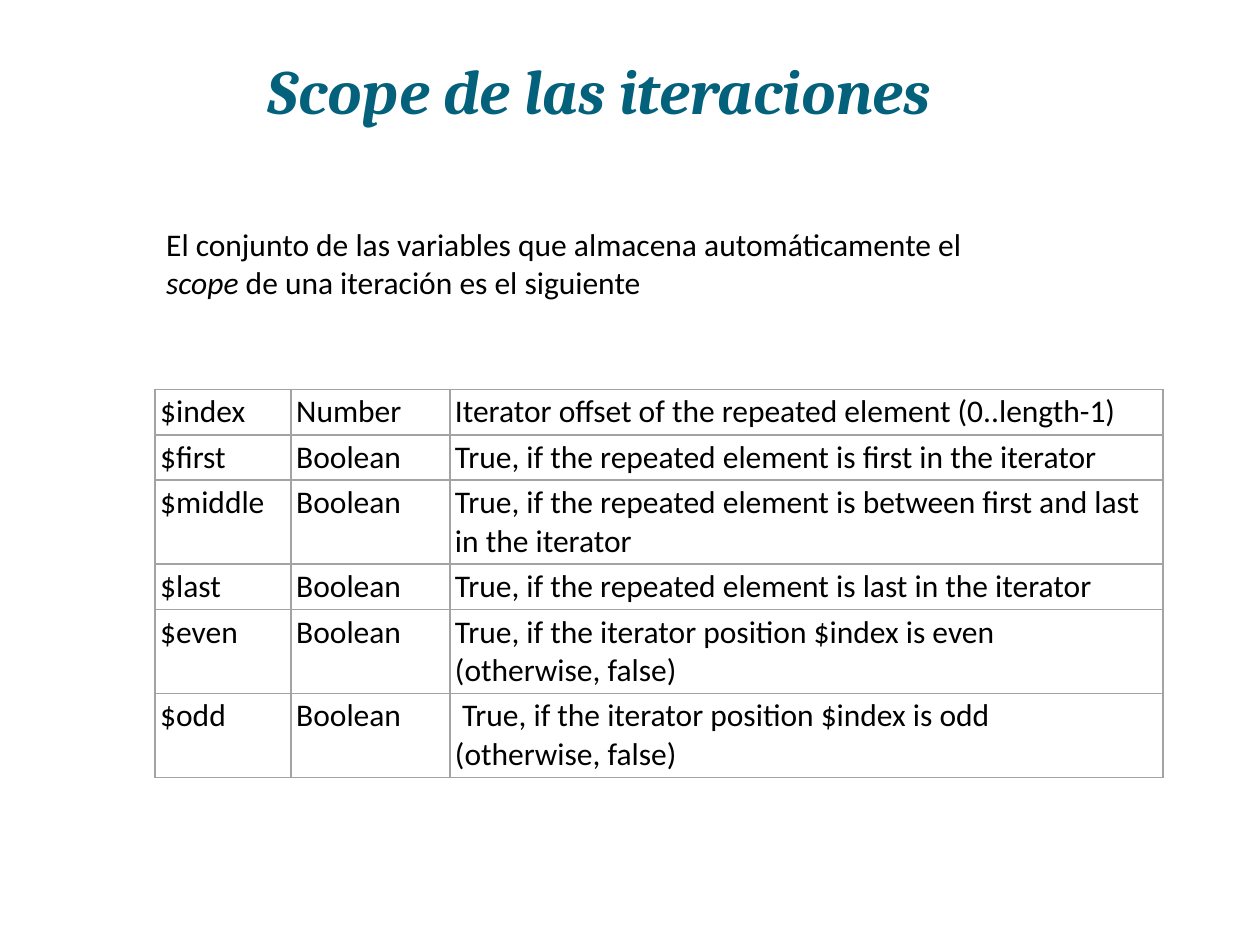
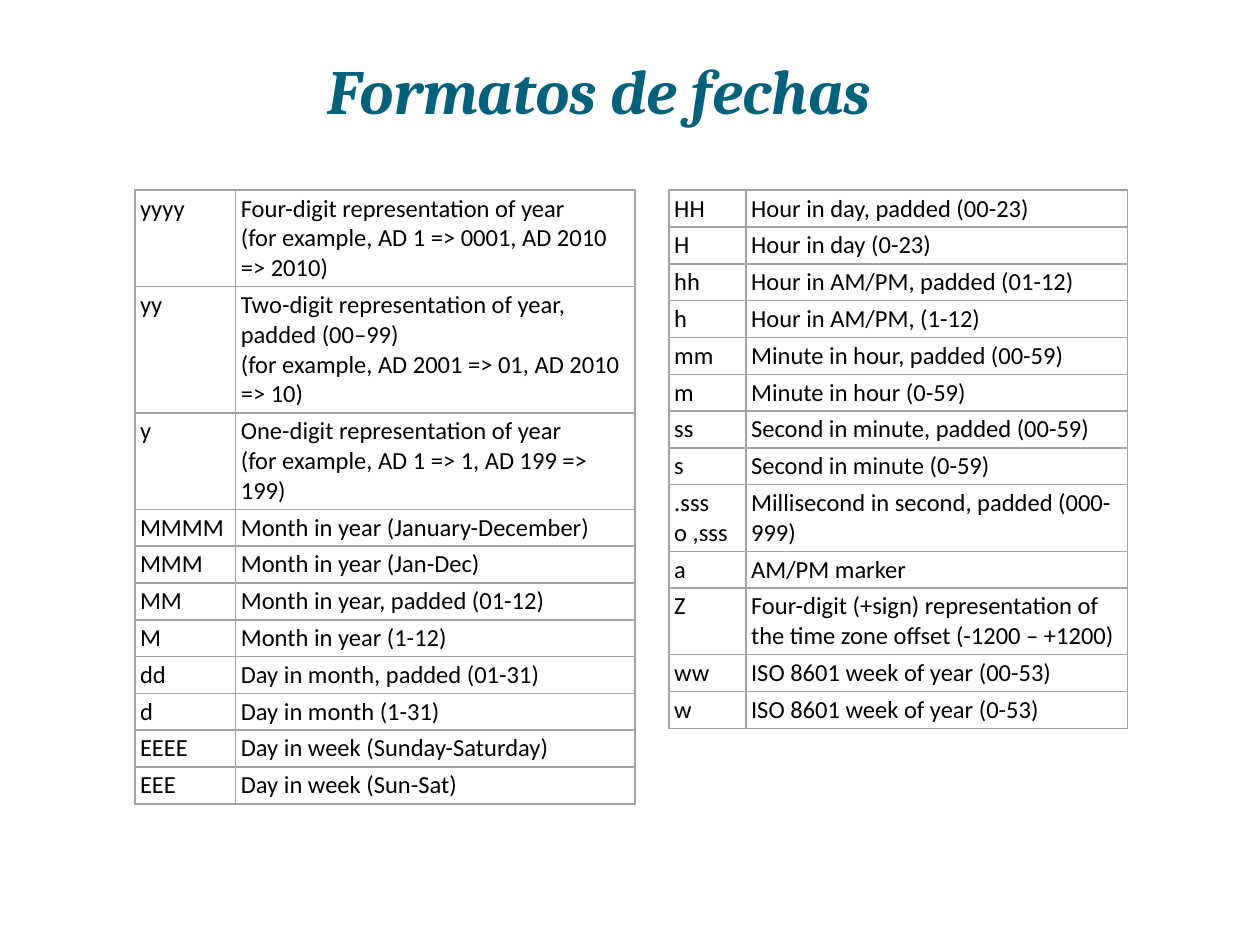
from lxml import etree
from pptx import Presentation
from pptx import util as u
from pptx.dml.color import RGBColor
from pptx.enum import text
from pptx.oxml import ns

COLORS = {"title": "04617B", "text": "000000", "border": "A3A3A3"}
BODY_FONT, TITLE_FONT = "Calibri", "Cambria"
LINE_FACTOR = 1.22  # line height relative to the font size


class Deck:
    """Shared style and the slide being filled."""

    def __init__(self):
        self.prs = Presentation()
        self.prs.slide_width, self.prs.slide_height = u.Inches(10), u.Inches(7.5)
        self.slide = None

    def style(self, paragraph, size, color="text", name=BODY_FONT):
        font = paragraph.font
        font.name, font.size = name, u.Pt(size)
        font.color.rgb = RGBColor.from_string(COLORS[color])
        return font

    def add_slide(self, heading):
        self.slide = self.prs.slides.add_slide(self.prs.slide_layouts[5])
        title = self.slide.shapes.title
        title.left, title.top = u.Inches(0.69), u.Inches(0.4)
        title.width, title.height = u.Inches(8.13), u.Inches(0.7)
        frame = title.text_frame
        frame.text = heading
        frame.auto_size = text.MSO_AUTO_SIZE.NONE
        frame.vertical_anchor = text.MSO_ANCHOR.MIDDLE
        paragraph = frame.paragraphs[0]
        paragraph.alignment = text.PP_ALIGN.CENTER
        paragraph.line_spacing = 0.9
        font = self.style(paragraph, 36, "title", TITLE_FONT)
        font.bold = font.italic = True

    def add_text(self, left, top, width, height, runs, size=18):
        """Place one paragraph of (words, italic) runs."""
        box = self.slide.shapes.add_textbox(*map(u.Inches, (left, top, width, height)))
        frame = box.text_frame
        frame.word_wrap = True
        paragraph = frame.paragraphs[0]
        self.style(paragraph, size)
        for words, italic in runs:
            run = paragraph.add_run()
            run.text, run.font.italic = words, italic

    def add_table(self, left, top, widths, rows, size, tall_rows):
        """Place a ruled table; tall_rows maps a row index to its line count."""
        line = size * LINE_FACTOR / 72
        heights = [line * tall_rows.get(i, 1) + 0.05 for i in range(len(rows))]
        frame = self.slide.shapes.add_table(
            len(rows), len(widths), u.Inches(left), u.Inches(top),
            u.Inches(sum(widths)), u.Inches(sum(heights)))
        table = frame.table
        table.first_row = table.horz_banding = False
        for column, width in zip(table.columns, widths):
            column.width = u.Inches(width)
        for row, height, entries in zip(table.rows, heights, rows):
            row.height = u.Inches(height)
            for cell, entry in zip(row.cells, entries):
                self.fill_cell(cell, entry, size)

    def fill_cell(self, cell, entry, size):
        cell.margin_left = cell.margin_right = u.Pt(3)
        cell.margin_top = cell.margin_bottom = u.Pt(2)
        paragraph = cell.text_frame.paragraphs[0]
        paragraph.text = entry  # a newline becomes a line break
        self.style(paragraph, size)
        properties = cell._tc.get_or_add_tcPr()
        for side in ("a:lnL", "a:lnR", "a:lnT", "a:lnB"):
            border = etree.SubElement(properties, ns.qn(side), w=str(u.Pt(1)))
            solid = etree.SubElement(border, ns.qn("a:solidFill"))
            etree.SubElement(solid, ns.qn("a:srgbClr"), val=COLORS["border"])
        cell.fill.background()


SCOPE_VARIABLES = [
    ("$index", "Number", "Iterator offset of the repeated element (0..length-1)"),
    ("$first", "Boolean", "True, if the repeated element is first in the iterator"),
    ("$middle", "Boolean",
     "True, if the repeated element is between first and last in the iterator"),
    ("$last", "Boolean", "True, if the repeated element is last in the iterator"),
    ("$even", "Boolean",
     "True, if the iterator position $index is even\n(otherwise, false)"),
    ("$odd", "Boolean",
     " True, if the iterator position $index is odd\n(otherwise, false)"),
]

DATE_FORMATS = [
    ("yyyy", "Four-digit representation of year \n"
             "(for example, AD 1 => 0001, AD 2010 => 2010)"),
    ("yy", "Two-digit representation of year, padded (00–99)\n"
           "(for example, AD 2001 => 01, AD 2010 => 10)"),
    ("y", "One-digit representation of year\n"
          "(for example, AD 1 => 1, AD 199 => 199)"),
    ("MMMM", "Month in year (January-December)"),
    ("MMM", "Month in year (Jan-Dec)"),
    ("MM", "Month in year, padded (01-12)"),
    ("M", "Month in year (1-12)"),
    ("dd", "Day in month, padded (01-31)"),
    ("d", "Day in month (1-31)"),
    ("EEEE", "Day in week (Sunday-Saturday)"),
    ("EEE", "Day in week (Sun-Sat)"),
]

TIME_FORMATS = [
    ("HH", "Hour in day, padded (00-23)"),
    ("H", "Hour in day (0-23)"),
    ("hh", "Hour in AM/PM, padded (01-12)"),
    ("h", "Hour in AM/PM, (1-12)"),
    ("mm", "Minute in hour, padded (00-59)"),
    ("m", "Minute in hour (0-59)"),
    ("ss", "Second in minute, padded (00-59)"),
    ("s", "Second in minute (0-59)"),
    (".sss\no ,sss", "Millisecond in second, padded (000-999)"),
    ("a", "AM/PM marker"),
    ("Z", "Four-digit (+sign) representation of the time zone offset (-1200 – +1200)"),
    ("ww", "ISO 8601 week of year (00-53)"),
    ("w", "ISO 8601 week of year (0-53)"),
]


def main():
    deck = Deck()

    # Iteration scope
    deck.add_slide("Scope de las iteraciones")
    deck.add_table(1.23, 3.09, (1.08, 1.26, 5.66), SCOPE_VARIABLES, 18,
                   {2: 2, 4: 2, 5: 2})
    deck.add_text(1.22, 1.74, 6.65, 0.71, [
        ("El conjunto de las variables que almacena automáticamente el ", False),
        ("scope", True),
        (" de una iteración es el siguiente", False)])

    # Date and time formats
    deck.add_slide("Formatos de fechas")
    deck.add_table(1.07, 1.51, (0.8, 3.17), DATE_FORMATS, 14, {0: 3, 1: 4, 2: 3})
    deck.add_table(5.31, 1.51, (0.61, 3.03), TIME_FORMATS, 14, {8: 2, 10: 2})

    deck.prs.save("out.pptx")


if __name__ == "__main__":
    main()
